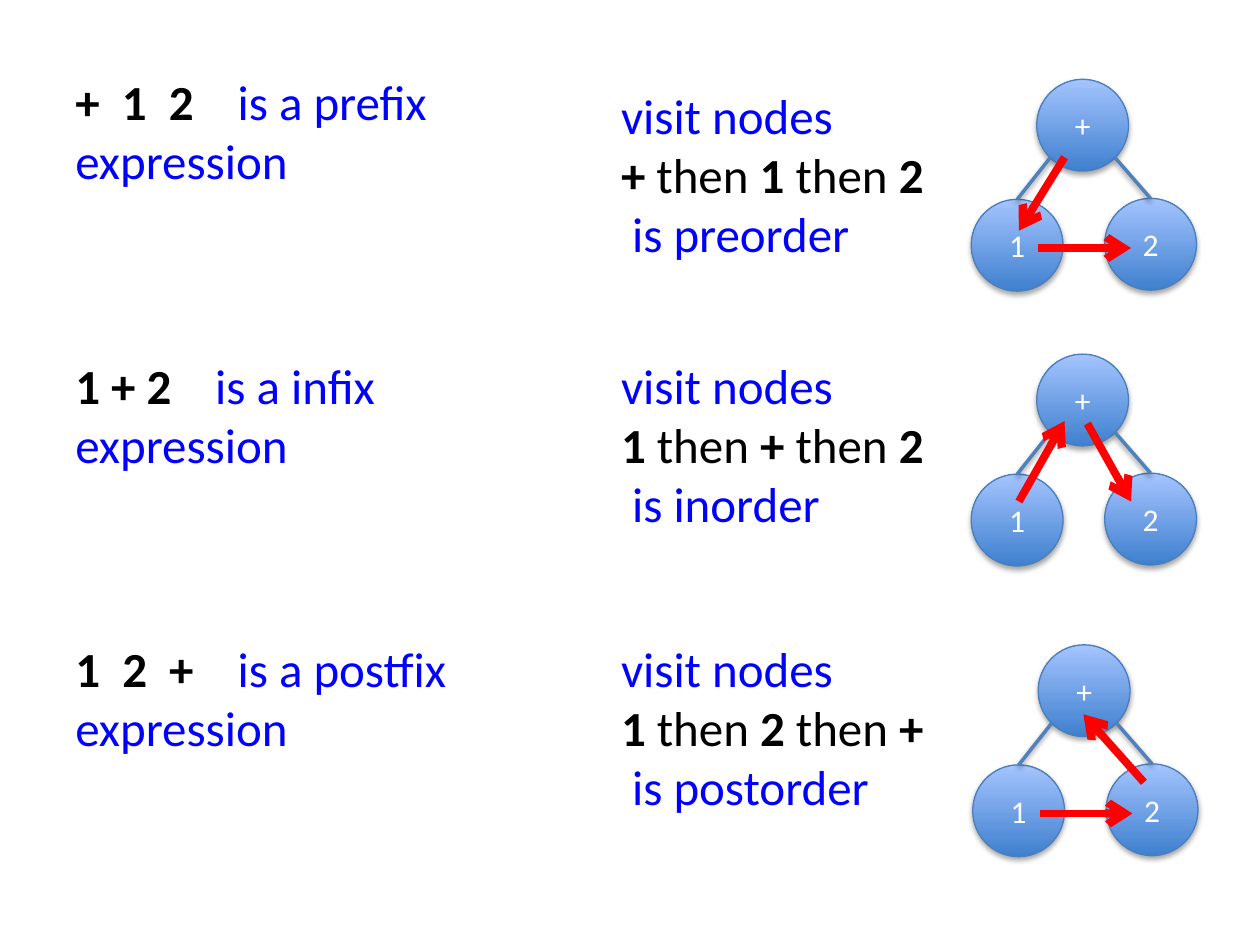
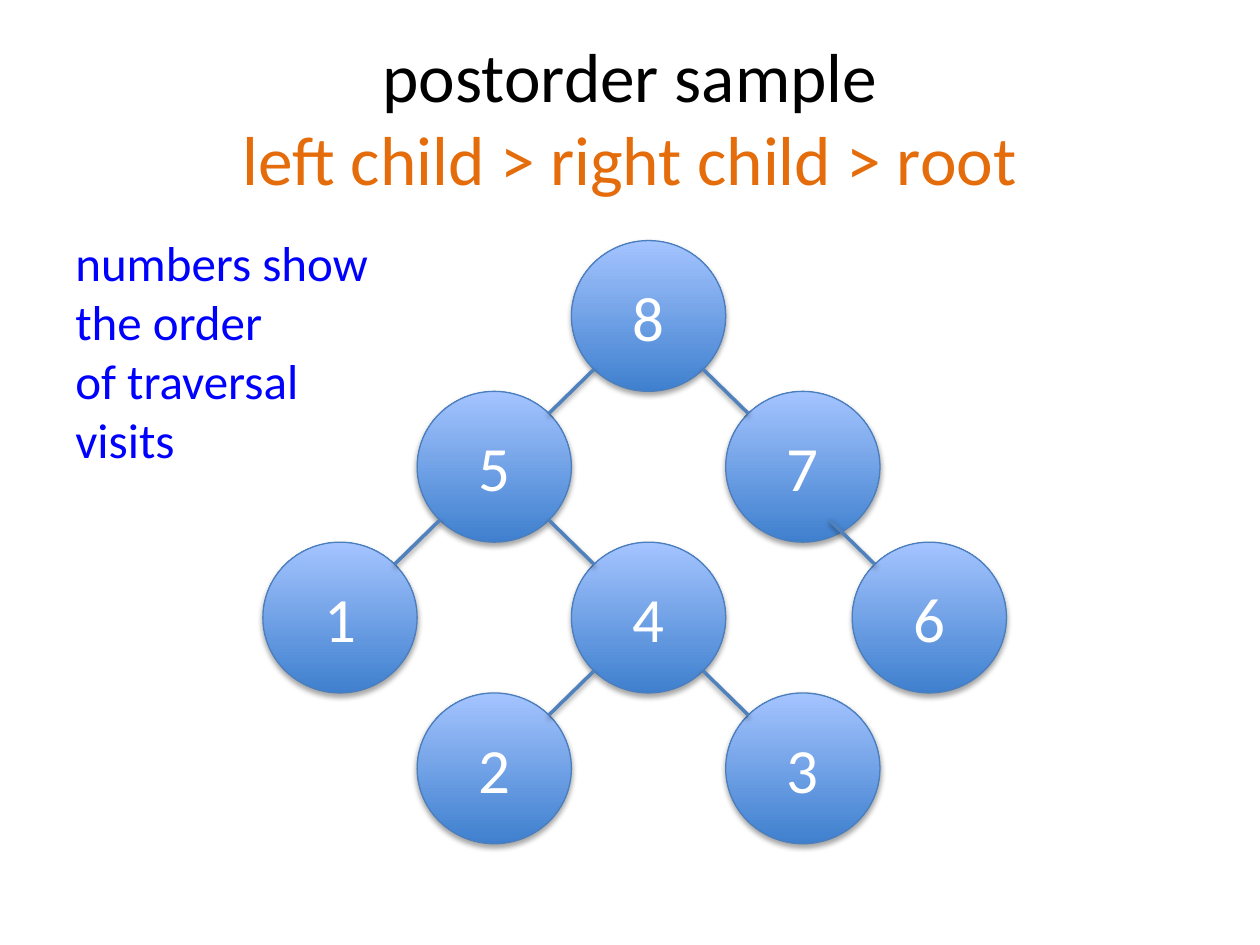
from dataclasses import dataclass

from lxml import etree
from pptx import Presentation
from pptx.dml.color import RGBColor
from pptx.enum.shapes import MSO_CONNECTOR, MSO_SHAPE
from pptx.enum.text import MSO_ANCHOR, MSO_AUTO_SIZE, PP_ALIGN
from pptx.oxml.ns import qn
from pptx.util import Cm, Pt

OVAL = MSO_SHAPE.OVAL
STRAIGHT = MSO_CONNECTOR.STRAIGHT
TOP, MIDDLE = MSO_ANCHOR.TOP, MSO_ANCHOR.MIDDLE
LEFT, CENTER = PP_ALIGN.LEFT, PP_ALIGN.CENTER
FIT_SHAPE, NO_FIT = MSO_AUTO_SIZE.SHAPE_TO_FIT_TEXT, MSO_AUTO_SIZE.NONE


@dataclass(frozen=True)
class Theme:
    font: str = "Calibri"
    black: str = "000000"
    white: str = "FFFFFF"
    blue: str = "0000FF"
    orange: str = "E46C0A"
    red: str = "FF0000"
    node_dark: str = "3F80CE"
    node_light: str = "A4C4FF"
    node_line: str = "4B7EBC"
    edge: str = "4F81BD"
    title: float = 39.6
    body: float = 28
    node_small: float = 18
    node_large: float = 36


@dataclass(frozen=True)
class Node:
    label: str
    x: float
    y: float
    w: float
    h: float

    def rim(self, dx, dy):
        reach = 0.5 / (abs(dx) + abs(dy)) ** 0.5
        return (self.x + self.w * (0.5 + dx * reach),
                self.y + self.h * (0.5 + dy * reach))


class Deck:
    def __init__(self, prs, theme):
        self.prs, self.theme = prs, theme
        self.s = None

    def new_slide(self):
        self.s = self.prs.slides.add_slide(self.prs.slide_layouts[6])

    def style(self, r, size, color, bold=False):
        r.font.name = self.theme.font
        r.font.size = Pt(size)
        r.font.bold = bold
        r.font.color.rgb = RGBColor.from_string(color)

    def effects(self, sp, dist=0, alpha=0):
        lst = etree.SubElement(sp.element.spPr, qn("a:effectLst"))
        if alpha:
            shadow = etree.SubElement(lst, qn("a:outerShdw"), blurRad="40000",
                                      dist=str(dist), dir="5400000", rotWithShape="0")
            clr = etree.SubElement(shadow, qn("a:srgbClr"), val=self.theme.black)
            etree.SubElement(clr, qn("a:alpha"), val=str(alpha * 1000))

    def text(self, x, y, w, h, paragraphs, size, align=LEFT, anchor=TOP,
             wrap=True, fit=FIT_SHAPE, tab=None):
        sp = self.s.shapes.add_textbox(Cm(x), Cm(y), Cm(w), Cm(h))
        tf = sp.text_frame
        tf.word_wrap, tf.auto_size, tf.vertical_anchor = wrap, fit, anchor
        for i, parts in enumerate(paragraphs):
            p = tf.add_paragraph() if i else tf.paragraphs[0]
            p.alignment = align
            if tab:
                tabs = etree.SubElement(p._p.get_or_add_pPr(), qn("a:tabLst"))
                etree.SubElement(tabs, qn("a:tab"), pos=str(Cm(tab)), algn="l")
            for words, color, bold in parts:
                if words == "\n":
                    p.add_line_break()
                    continue
                r = p.add_run()
                r.text = words
                self.style(r, size, color, bold)

    def node(self, shapes, n, size):
        t = self.theme
        sp = shapes.add_shape(OVAL, Cm(n.x), Cm(n.y), Cm(n.w), Cm(n.h))
        sp.fill.gradient()
        sp.fill.gradient_angle = 90
        for stop, pos, color in zip(sp.fill.gradient_stops, (0, 1),
                                    (t.node_dark, t.node_light)):
            stop.position = pos
            stop.color.rgb = RGBColor.from_string(color)
        sp.line.color.rgb = RGBColor.from_string(t.node_line)
        sp.line.width = Pt(0.75)
        self.effects(sp, 23000, 35)
        tf = sp.text_frame
        tf.text = n.label
        tf.vertical_anchor = MIDDLE
        p = tf.paragraphs[0]
        p.alignment = CENTER
        self.style(p.runs[0], size, t.white)

    def line(self, shapes, start, end, color, width):
        c = shapes.add_connector(STRAIGHT, *(Cm(v) for v in (*start, *end)))
        c.line.color.rgb = RGBColor.from_string(color)
        c.line.width = Pt(width)
        return c

    def tree(self, nodes, edges, size):
        shapes = self.s.shapes.add_group_shape().shapes
        for n in nodes:
            self.node(shapes, n, size)
        for start, end in edges:
            self.effects(self.line(shapes, start, end, self.theme.edge, 2), 20000, 38)

    def arrow(self, start, end):
        c = self.line(self.s.shapes, start, end, self.theme.red, 4.5)
        etree.SubElement(c.element.spPr.find(qn("a:ln")), qn("a:tailEnd"), type="arrow")
        self.effects(c)


def traversal_row(deck, y, note_y, tree_x, tree_y, expression, tab, kind, visits, order, arrows):
    t = deck.theme
    deck.text(1.27, y, 8.53, 3.84,
              [[(expression, t.black, True), (f"\tis a {kind} expression", t.blue, False)]],
              t.body, tab=tab)
    sequence = [(visits[0], t.black, True)]
    for visit in visits[1:]:
        sequence += [(" then ", t.black, False), (visit, t.black, True)]
    deck.text(12.27, note_y, 7.26, 3.84,
              [[("visit nodes", t.blue, False)],
               sequence + [("\n", t.black, False), (f" is {order}", t.blue, False)]],
              t.body)
    d = 1.85
    root = Node("+", tree_x, tree_y, d, d)
    left = Node("1", tree_x - 1.32, tree_y + 2.42, d, d)
    right = Node("2", tree_x + 1.37, tree_y + 2.4, d, d)
    deck.tree([root, left, right],
              [(root.rim(-1, 1), left.rim(0, -1)), (root.rim(1, 1), right.rim(0, -1))],
              t.node_small)
    for x1, y1, x2, y2 in arrows:
        deck.arrow((tree_x + x1, tree_y + y1), (tree_x + x2, tree_y + y2))


def expressions_slide(deck):
    deck.new_slide()
    across = (0.03, 3.4, 1.9, 3.4)
    rows = [
        (1.32, 1.6, 20.9, 1.6, "+  1  2", 3.27, "prefix", "+12", "preorder",
         [(0.56, 1.57, -0.36, 3.05), across]),
        (7.04, 7.04, 20.9, 7.14, "1 + 2", 2.82, "infix", "1+2", "inorder",
         [(-0.36, 2.97, 0.56, 1.35), (1.02, 1.4, 1.9, 2.97)]),
        (12.75, 12.75, 20.93, 13, "1  2  +", 3.27, "postfix", "12+", "postorder",
         [across, (2.13, 2.77, 0.91, 1.4)]),
    ]
    for row in rows:
        traversal_row(deck, *row)


def postorder_slide(deck):
    t = deck.theme
    deck.new_slide()
    deck.text(1.27, 0.76, 22.86, 3.18,
              [[("postorder sample", t.black, False), ("\n", t.black, False),
                ("left child > right child > root", t.orange, False)]],
              t.title, CENTER, MIDDLE, fit=NO_FIT)
    w, h = 3.11, 3.04
    cells = {"8": (2, 0), "5": (1, 1), "7": (3, 1), "1": (0, 2), "4": (2, 2),
             "6": (3.82, 2), "2": (1, 3), "3": (3, 3)}
    nodes = {k: Node(k, 5.3 + col * w, 4.85 + row * h, w, h)
             for k, (col, row) in cells.items()}
    edges = []
    for parent, child in ("85", "87", "51", "54", "76", "42", "43"):
        side = 1 if cells[child][0] < cells[parent][0] else -1
        x, y = nodes[child].rim(side, -1)
        edges.append(((x + side * 0.91, y - 0.89), (x, y)))
    deck.tree(nodes.values(), edges, t.node_large)
    lines = ("numbers show", "the order", "of traversal", "visits")
    deck.text(1.27, 4.57, 6.5, 5.05, [[(words, t.blue, False)] for words in lines],
              t.body, wrap=False)


prs = Presentation()
prs.slide_width, prs.slide_height = Cm(25.4), Cm(19.05)
deck = Deck(prs, Theme())
expressions_slide(deck)
postorder_slide(deck)
prs.save("out.pptx")
